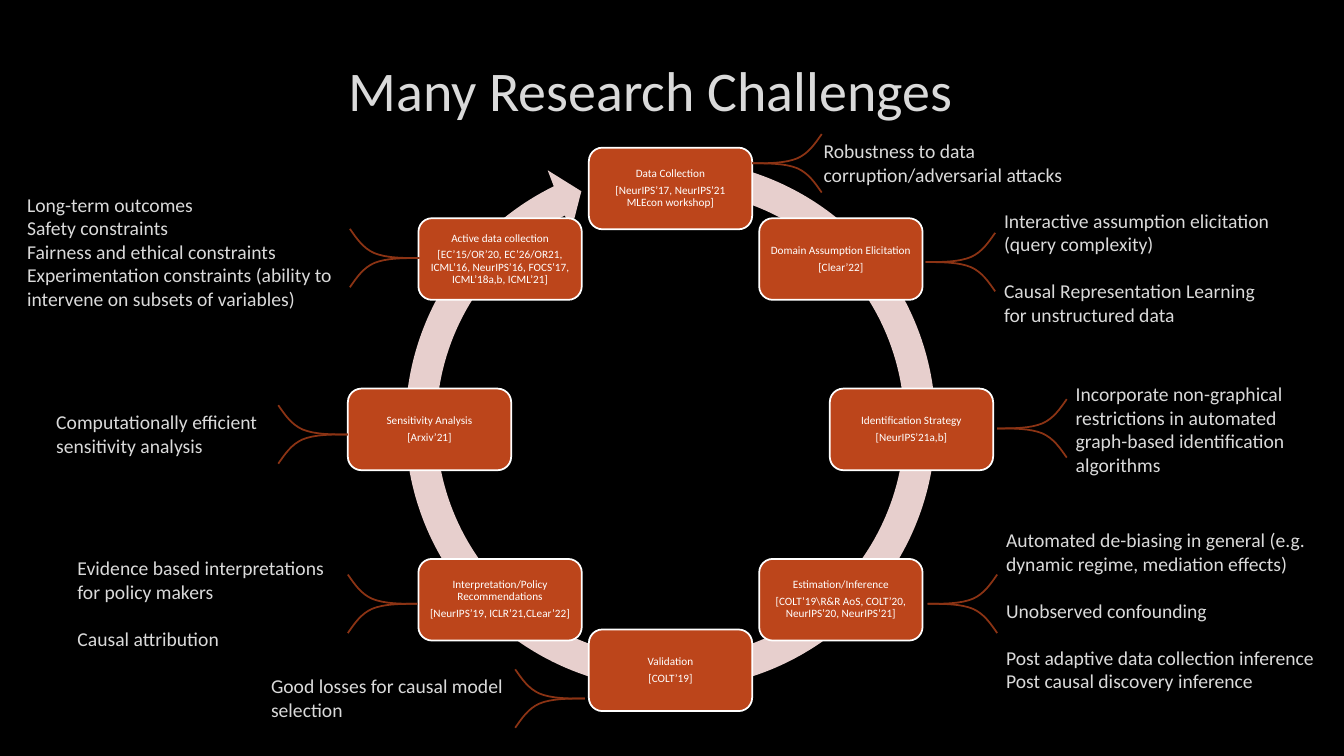
import math
from lxml import etree
from pptx import Presentation
from pptx.dml.color import RGBColor
from pptx.enum import shapes, text
from pptx.oxml.ns import qn
from pptx.util import Inches, Pt

BLACK = RGBColor(0x00, 0x00, 0x00)
WHITE = RGBColor(0xFF, 0xFF, 0xFF)
PALE = RGBColor(0xDA, 0xDA, 0xDA)
RUST = RGBColor(0xBC, 0x45, 0x1B)
BROWN = RGBColor(0x8B, 0x33, 0x14)
PINK = RGBColor(0xE7, 0xCF, 0xCD)
FONT = "Calibri"

# Content: steps run clockwise from the top
TITLE = "Many Research Challenges"
STEPS = [
    ("Data Collection", "[NeurIPS’17, NeurIPS’21 MLEcon workshop]"),
    ("Domain Assumption Elicitation", "[Clear’22]"),
    ("Identification Strategy", "[NeurIPS’21a,b]"),
    ("Estimation/Inference",
     "[COLT’19\\R&R AoS, COLT’20, NeurIPS’20, NeurIPS’21]"),
    ("Validation", "[COLT’19]"),
    ("Interpretation/Policy Recommendations",
     "[NeurIPS’19, ICLR’21,CLear’22]"),
    ("Sensitivity Analysis", "[Arxiv’21]"),
    ("Active data collection",
     "[EC’15/OR’20, EC’26/OR21, ICML’16, NeurIPS’16, FOCS’17, "
     "ICML’18a,b, ICML’21]"),
]
# Notes: box (left, top, width, height), fork (x, y, direction),
# then groups of lines, set apart by a gap
NOTES = [
    ((8.07, 1.33, 2.9, 0.57), (7.46, 1.62, 1),
     [["Robustness to data corruption/adversarial attacks"]]),
    ((9.86, 2.02, 2.9, 1.28), (9.18, 2.6, 1),
     [["Interactive assumption elicitation (query complexity)"],
      ["Causal Representation Learning for unstructured data"]]),
    ((10.57, 3.74, 2.3, 1.04), (9.89, 4.25, 1),
     [["Incorporate non-graphical restrictions in automated "
       "graph-based identification algorithms"]]),
    ((9.88, 5.19, 3.54, 1.75), (9.2, 5.99, 1),
     [["Automated de-biasing in general (e.g. dynamic regime, "
       "mediation effects)"],
      ["Unobserved confounding"],
      ["Post adaptive data collection inference",
       "Post causal discovery inference"]]),
    ((2.59, 6.64, 2.64, 0.57), (5.8, 6.93, -1),
     [["Good losses for causal model selection"]]),
    ((0.67, 5.47, 2.86, 1.04), (4.14, 5.99, -1),
     [["Evidence based interpretations for policy makers"],
      ["Causal attribution"]]),
    ((0.46, 4.02, 2.86, 0.57), (3.45, 4.31, -1),
     [["Computationally efficient sensitivity analysis"]]),
    ((0.17, 1.86, 3.45, 1.28), (4.16, 2.56, -1),
     [["Long-term outcomes", "Safety constraints",
       "Fairness and ethical constraints",
       "Experimentation constraints (ability to intervene on subsets "
       "of variables)"]]),
]

# Geometry
MID = (6.65, 4.26)
RADIUS = 2.39
STEP_W, STEP_H = 1.62, 0.81
RING = 5.6
RING_ADJ = (0.055, 3.307, 146.142, 168.941, 0.058)
GAP = Pt(16.7)
# Bezier points of one fork arm, from the neck outwards
ARM = [(0.16, 0), (0.33, 0), (0.45, 0.05),
       (0.56, 0.1), (0.62, 0.19), (0.69, 0.29)]


def style(par, size, color):
    par.font.size = Pt(size)
    par.font.name = FONT
    par.font.color.rgb = color


def add_text(slide, box, lines, size):
    frame = slide.shapes.add_textbox(*map(Inches, box)).text_frame
    frame.word_wrap = True
    frame.text = "\n".join(lines)
    for par in frame.paragraphs:
        style(par, size, PALE)
    return frame


def add_step(slide, index, lines):
    turn = math.radians(45 * index)
    x = MID[0] + RADIUS * math.sin(turn) - STEP_W / 2
    y = MID[1] - RADIUS * math.cos(turn) - STEP_H / 2
    box = slide.shapes.add_shape(
        shapes.MSO_SHAPE.ROUNDED_RECTANGLE,
        *map(Inches, (x, y, STEP_W, STEP_H)))
    box.shadow.inherit = False
    box.fill.solid()
    box.fill.fore_color.rgb = RUST
    box.line.color.rgb = WHITE
    box.line.width = Pt(1.25)
    frame = box.text_frame
    frame.word_wrap = True
    frame.vertical_anchor = text.MSO_ANCHOR.MIDDLE
    frame.margin_left = frame.margin_right = Inches(0.05)
    frame.margin_top = frame.margin_bottom = Inches(0.03)
    frame.text = "\n".join(lines)
    for par in frame.paragraphs:
        style(par, 8, WHITE)
        par.alignment = text.PP_ALIGN.CENTER
        par.line_spacing = 0.9
        par.space_after = Pt(3.4)


def bend(shape):
    """Turn every three straight segments into one Bezier curve."""
    steps = list(shape.element.iter(qn("a:lnTo")))
    for k in range(0, len(steps), 3):
        curve = etree.Element(qn("a:cubicBezTo"))
        steps[k].addprevious(curve)
        for step in steps[k:k + 3]:
            curve.append(step[0])
            step.getparent().remove(step)


def add_fork(slide, x, y, side):
    fork = slide.shapes.add_group_shape()
    for way in (-1, 1):
        pen = fork.shapes.build_freeform(Inches(x), Inches(y))
        pen.add_line_segments(
            [(Inches(x + side * dx), Inches(y + way * dy)) for dx, dy in ARM],
            close=False)
        arm = pen.convert_to_shape()
        bend(arm)
        arm.shadow.inherit = False
        arm.fill.background()
        arm.line.color.rgb = BROWN
        arm.line.width = Pt(1.25)


def main():
    prs = Presentation()
    prs.slide_width, prs.slide_height = Inches(13.33), Inches(7.5)
    slide = prs.slides.add_slide(prs.slide_layouts[6])
    slide.background.fill.solid()
    slide.background.fill.fore_color.rgb = BLACK

    # Title
    head = add_text(slide, (0.79, 0.19, 11.32, 1.38), [TITLE], 40)
    head.vertical_anchor = text.MSO_ANCHOR.MIDDLE
    head.paragraphs[0].alignment = text.PP_ALIGN.CENTER

    # Ring arrow behind the steps
    ring = slide.shapes.add_shape(
        shapes.MSO_SHAPE.CIRCULAR_ARROW,
        *map(Inches, (MID[0] - RING / 2, 1.41, RING, RING)))
    for k, value in enumerate(RING_ADJ):
        ring.adjustments[k] = value
    ring.shadow.inherit = False
    ring.fill.solid()
    ring.fill.fore_color.rgb = PINK
    ring.line.fill.background()

    # Steps of the cycle
    for index, lines in enumerate(STEPS):
        add_step(slide, index, lines)

    # Notes and their forks
    for box, fork, groups in NOTES:
        frame = add_text(slide, box, sum(groups, []), 14)
        first = 0
        for group in groups[:-1]:
            first += len(group)
            frame.paragraphs[first].space_before = GAP
        add_fork(slide, *fork)

    prs.save("out.pptx")


if __name__ == "__main__":
    main()
